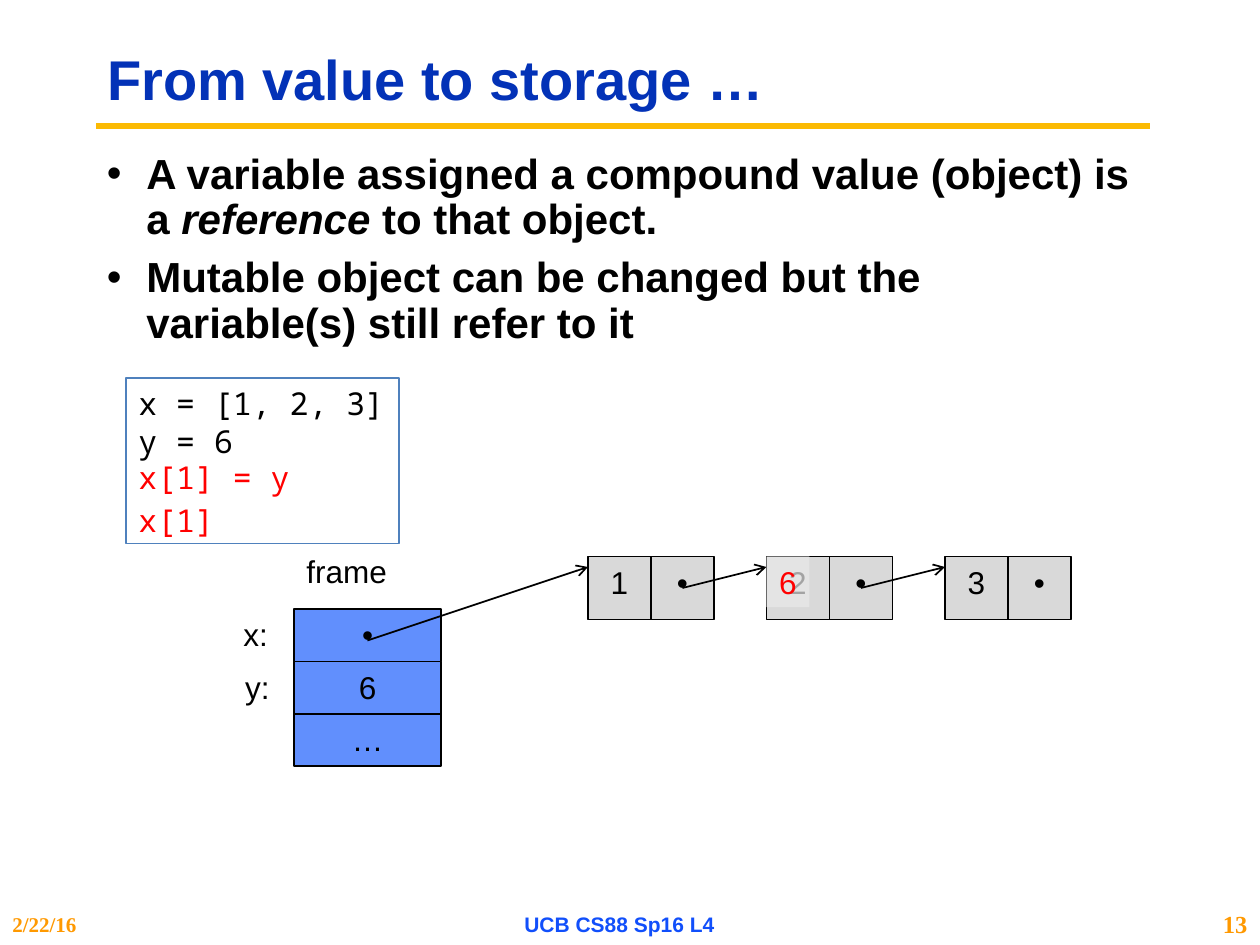
import pptx
import pptx.dml.color
import pptx.enum.shapes
import pptx.enum.text
import pptx.oxml.ns
import pptx.util
from lxml import etree

Pt = pptx.util.Pt
qn = pptx.oxml.ns.qn
ALIGN = pptx.enum.text.PP_ALIGN
ANCHOR = pptx.enum.text.MSO_ANCHOR
RECTANGLE = pptx.enum.shapes.MSO_SHAPE.RECTANGLE
STRAIGHT = pptx.enum.shapes.MSO_CONNECTOR.STRAIGHT

BLACK, RED, ORANGE = "000000", "FF0000", "FF9900"
FRAME_BLUE, CELL_GREY = "618FFD", "D9D9D9"
MONO = "Noto Sans Mono"
CELL = 36
FRAME_LEFT, FRAME_TOP, FRAME_WIDTH, ROW = 168, 348, 84, 30
LIST_TOP = 318
NODE_LEFTS = (336, 438, 540)


def color(hex_string):
    return pptx.dml.color.RGBColor.from_string(hex_string)


def format_text(text_frame, size=18, font="Arial", fill=BLACK, bold=False,
                align=ALIGN.LEFT, anchor=ANCHOR.TOP, wrap=True):
    text_frame.auto_size = pptx.enum.text.MSO_AUTO_SIZE.NONE
    text_frame.word_wrap = wrap
    text_frame.vertical_anchor = anchor
    for paragraph in text_frame.paragraphs:
        paragraph.alignment = align
        for run in paragraph.runs:
            run.font.size = Pt(size)
            run.font.name = font
            run.font.bold = bold
            run.font.color.rgb = color(fill)


def add_text(slide, box, text, **style):
    shape = slide.shapes.add_textbox(*map(Pt, box))
    shape.text_frame.text = text
    format_text(shape.text_frame, **style)


def add_box(shapes, box, text, fill=None, line=None, line_width=1, **style):
    shape = shapes.add_shape(RECTANGLE, *map(Pt, box))
    shape.shadow.inherit = False
    if fill:
        shape.fill.solid()
        shape.fill.fore_color.rgb = color(fill)
    else:
        shape.fill.background()
    if line:
        shape.line.color.rgb = color(line)
        shape.line.width = Pt(line_width)
    else:
        shape.line.fill.background()
    shape.text_frame.text = text
    format_text(shape.text_frame, **style)
    return shape


def add_line(slide, start, end, stroke=BLACK, width=1, arrow=False):
    connector = slide.shapes.add_connector(STRAIGHT, *map(Pt, start + end))
    connector.line.color.rgb = color(stroke)
    connector.line.width = Pt(width)
    if arrow:
        etree.SubElement(connector.line._get_or_add_ln(), qn("a:tailEnd"), type="arrow")
    etree.SubElement(connector._element.spPr, qn("a:effectLst"))


def add_title(slide, text):
    title = slide.shapes.title
    title.left, title.top, title.width, title.height = map(Pt, (54, 18, 606, 58))
    title.text_frame.text = text
    format_text(title.text_frame, size=32, fill="0332B7", bold=True, anchor=ANCHOR.MIDDLE)
    title.text_frame.paragraphs[0].line_spacing = 0.9


def add_bullets(slide, box, items):
    """Each item is a list of (text, italic) pairs."""
    text_frame = slide.shapes.add_textbox(*map(Pt, box)).text_frame
    for index, item in enumerate(items):
        paragraph = text_frame.add_paragraph() if index else text_frame.paragraphs[0]
        paragraph.line_spacing = 0.9
        paragraph.space_before = Pt(7.2)
        for text, italic in item:
            run = paragraph.add_run()
            run.text = text
            run.font.italic = italic
        properties = paragraph._p.get_or_add_pPr()
        properties.set("marL", str(Pt(22.5)))
        properties.set("indent", str(-Pt(22.5)))
        etree.SubElement(properties, qn("a:buFont"), typeface="Arial")
        etree.SubElement(properties, qn("a:buChar"), char="•")
    format_text(text_frame, size=24, bold=True)


def add_footers(slide):
    middle = {"bold": True, "anchor": ANCHOR.MIDDLE}
    add_text(slide, (0, 516, 120, 24), "2/22/16", size=12,
             font="Times New Roman", fill=ORANGE, **middle)
    add_text(slide, (240, 516, 228, 24), "UCB CS88 Sp16 L4", size=12,
             fill="114FFB", align=ALIGN.CENTER, **middle)
    add_text(slide, (678, 516, 42, 24), "13", size=14,
             font="Times New Roman", fill=ORANGE, align=ALIGN.RIGHT, **middle)


def add_code(slide):
    add_box(slide.shapes, (72, 216, 156, 94.5), "x = [1, 2, 3]\ny = 6",
            line="4F81BD", line_width=0.75, font=MONO, wrap=False)
    add_text(slide, (72, 258, 102, 29), "x[1] = y", font=MONO, fill=RED, wrap=False)
    add_text(slide, (72, 283, 58, 29), "x[1]", font=MONO, fill=RED, wrap=False)


def add_frame(slide):
    add_text(slide, (FRAME_LEFT, 312, 61, 29), "frame", wrap=False)
    add_text(slide, (132, FRAME_TOP, 29, 29), "x:", wrap=False)
    add_text(slide, (133, FRAME_TOP + ROW, 29, 29), "y:", wrap=False)
    for row, value in enumerate(("•", "6", "…")):
        add_box(slide.shapes, (FRAME_LEFT, FRAME_TOP + row * ROW, FRAME_WIDTH, ROW),
                value, fill=FRAME_BLUE, line=BLACK, align=ALIGN.CENTER)


def add_linked_list(slide):
    for left, value in zip(NODE_LEFTS, "123"):
        node = slide.shapes.add_group_shape()
        for column, text in enumerate((value, "•")):
            add_box(node.shapes, (left + column * CELL, LIST_TOP, CELL, CELL), text,
                    fill=CELL_GREY, line=BLACK, align=ALIGN.CENTER)
    starts = [(FRAME_LEFT + FRAME_WIDTH / 2, FRAME_TOP + 18)]
    starts += [(left + 1.5 * CELL, LIST_TOP + CELL / 2) for left in NODE_LEFTS[:-1]]
    for start, left in zip(starts, NODE_LEFTS):
        add_line(slide, start, (left, LIST_TOP + 6), arrow=True)


def add_new_value(slide):
    """Veil the old list value with a translucent box that holds the new one."""
    veil = add_box(slide.shapes, (NODE_LEFTS[1], LIST_TOP, 24.5, 29), "6",
                   fill="E9E9E9", align=ALIGN.CENTER, wrap=False)
    veil_color = veil._element.spPr.find(qn("a:solidFill"))[0]
    etree.SubElement(veil_color, qn("a:alpha"), val="70000")
    format_text(veil.text_frame, fill=RED, align=ALIGN.CENTER, wrap=False)


def main():
    presentation = pptx.Presentation()
    presentation.slide_width, presentation.slide_height = Pt(720), Pt(540)
    slide = presentation.slides.add_slide(presentation.slide_layouts[5])
    add_line(slide, (55, 72), (657, 72), stroke="FBBA03", width=3.75)
    add_title(slide, "From value to storage …")
    add_bullets(slide, (54, 84, 600, 144), [
        [("A variable assigned a compound value (object) is a ", False),
         ("reference", True), (" to that object.", False)],
        [("Mutable object can be changed but the variable(s) still refer to it", False)],
    ])
    add_footers(slide)
    add_code(slide)
    add_frame(slide)
    add_linked_list(slide)
    add_new_value(slide)
    presentation.save("out.pptx")


if __name__ == "__main__":
    main()
